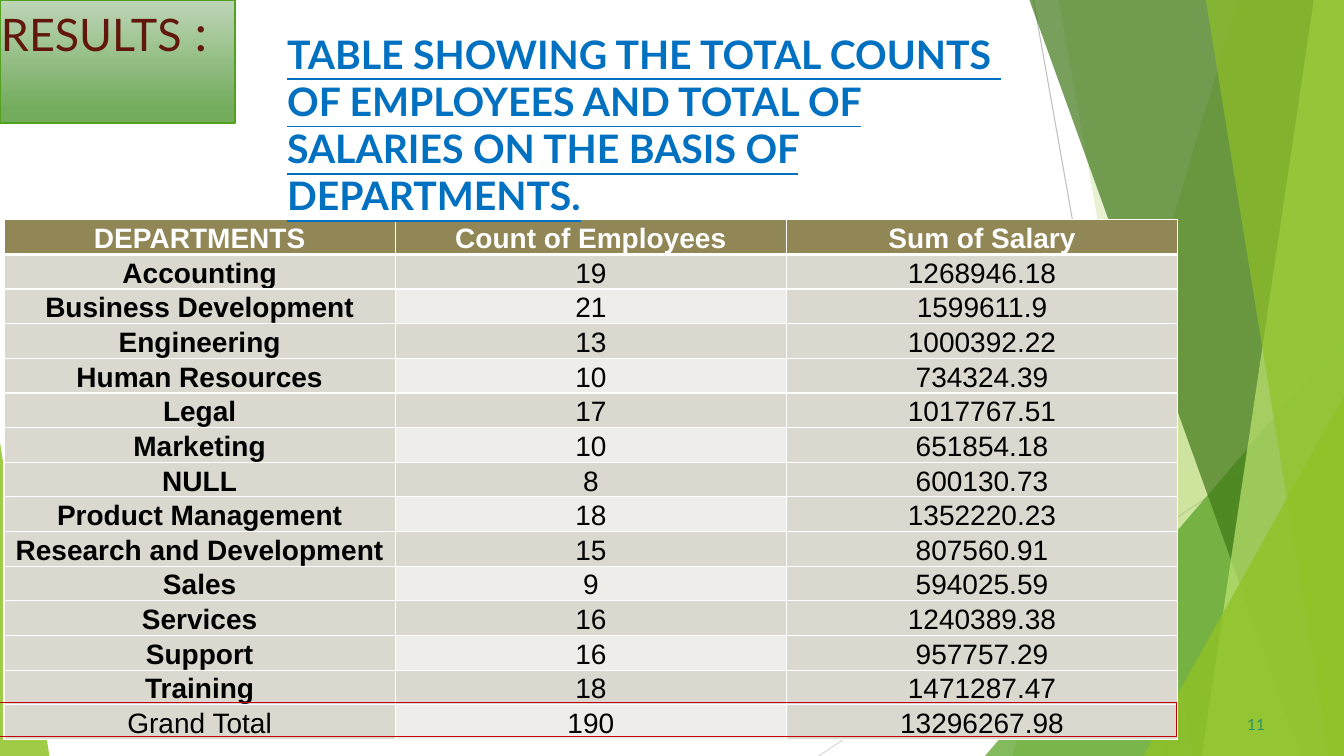
from lxml.etree import SubElement
from pptx import Presentation
from pptx.dml.color import RGBColor
from pptx.enum.shapes import MSO_CONNECTOR, MSO_SHAPE as SHAPE
from pptx.enum.text import MSO_ANCHOR, PP_ALIGN
from pptx.oxml.ns import qn
from pptx.util import Inches, Pt

COLORS = {
    "white": "FFFFFF", "black": "000000", "lime": "90C226", "green": "54A021",
    "forest": "3F7818", "pale": "BFE471", "gray": "BFBFBF", "silver": "D8D8D8",
    "grad_top": "BDD5B6", "grad_end": "74AC5E", "maroon": "62170C",
    "teal": "2D936B", "blue": "0070C0", "red": "C00000",
    "header": "918655", "band": "DBD8D0", "light": "EEEDE9",
}
HEADER = ("DEPARTMENTS", "Count of Employees", "Sum of Salary")
DEPARTMENTS = [
    ("Accounting", "19", "1268946.18"),
    ("Business Development", "21", "1599611.9"),
    ("Engineering", "13", "1000392.22"),
    ("Human Resources", "10", "734324.39"),
    ("Legal", "17", "1017767.51"),
    ("Marketing", "10", "651854.18"),
    ("NULL", "8", "600130.73"),
    ("Product Management", "18", "1352220.23"),
    ("Research and Development", "15", "807560.91"),
    ("Sales", "9", "594025.59"),
    ("Services", "16", "1240389.38"),
    ("Support", "16", "957757.29"),
    ("Training", "18", "1471287.47"),
    ("Grand Total", "190", "13296267.98"),
]
WIDTH, HEIGHT = 13.33, 7.5


def rgb(name):
    """Return the palette colour with this name."""
    return RGBColor.from_string(COLORS[name])


def paint(sp, color, alpha):
    """Give a shape a translucent fill and no outline."""
    sp.shadow.inherit = False
    sp.line.fill.background()
    sp.fill.solid()
    sp.fill.fore_color.rgb = rgb(color)
    clr = sp.fill._xPr.find(qn("a:solidFill"))[0]
    SubElement(clr, qn("a:alpha"), val=str(alpha * 1000))


def add_line(s, start, end, color):
    """Draw a thin line between two points."""
    ends = [Inches(v) for v in (*start, *end)]
    ln = s.shapes.add_connector(MSO_CONNECTOR.STRAIGHT, *ends)
    ln.line.color.rgb = rgb(color)
    ln.line.width = Pt(0.75)
    SubElement(ln._element.spPr, qn("a:effectLst"))


def add_shard(s, top, bottom, color, alpha):
    """Draw a full-height facet reaching the right edge."""
    points = [(WIDTH, 0), (WIDTH, HEIGHT), (bottom, HEIGHT)]
    fb = s.shapes.build_freeform(Inches(top), 0)
    fb.add_line_segments([(Inches(x), Inches(y)) for x, y in points])
    paint(fb.convert_to_shape(), color, alpha)


def add_triangle(s, left, top, width, apex, color, alpha):
    """Draw a triangle standing on the bottom edge."""
    sp = s.shapes.add_shape(SHAPE.ISOSCELES_TRIANGLE, Inches(left), Inches(top),
                            Inches(width), Inches(HEIGHT - top))
    sp.adjustments[0] = apex
    paint(sp, color, alpha)


def add_frame(s, left, top, width, height, color, weight):
    """Draw an outlined, unfilled rectangle."""
    sp = s.shapes.add_shape(SHAPE.RECTANGLE, Inches(left), Inches(top),
                            Inches(width), Inches(height))
    sp.shadow.inherit = False
    sp.fill.background()
    sp.line.color.rgb = rgb(color)
    sp.line.width = Pt(weight)
    return sp


def add_run(p, text, size, color, font="Lato", bold=False, underline=False):
    """Append a formatted run to a paragraph."""
    r = p.add_run()
    r.text = text
    r.font.name, r.font.size = font, Pt(size)
    r.font.bold, r.font.underline = bold, underline
    r.font.color.rgb = rgb(color)


def set_insets(box, left, top, right, bottom):
    """Set the inner margins of a text frame or a cell."""
    box.margin_left, box.margin_top = Inches(left), Inches(top)
    box.margin_right, box.margin_bottom = Inches(right), Inches(bottom)


def add_text(s, left, top, width, height, insets):
    """Add a wrapping text box and return its first paragraph."""
    tf = s.shapes.add_textbox(Inches(left), Inches(top),
                              Inches(width), Inches(height)).text_frame
    tf.word_wrap = True
    set_insets(tf, *insets)
    return tf.paragraphs[0]


def add_heading(s):
    """Add the gradient heading box."""
    sp = add_frame(s, 0, 0, 2.33, 1.22, "green", 1)
    sp.fill.gradient()
    sp.fill.gradient_angle = 270
    first, last = sp.fill.gradient_stops
    first.color.rgb, last.color.rgb = rgb("grad_top"), rgb("grad_end")
    first.position, last.position = 0, 0.88
    tf = sp.text_frame
    tf.vertical_anchor = MSO_ANCHOR.TOP
    set_insets(tf, 0.01, 0.01, 0, 0)
    p = tf.paragraphs[0]
    p.alignment = PP_ALIGN.LEFT
    add_run(p, "RESULTS", 32, "maroon")
    add_run(p, " :", 36, "maroon")


def set_borders(cell, bottom):
    """Draw white borders around a cell."""
    tcPr = cell._tc.get_or_add_tcPr()
    for i, (side, weight) in enumerate(zip("LRTB", (1, 1, 1, bottom))):
        ln = tcPr.makeelement(qn(f"a:ln{side}"), w=str(Pt(weight)))
        fill = SubElement(ln, qn("a:solidFill"))
        SubElement(fill, qn("a:srgbClr"), val=COLORS["white"])
        tcPr.insert(i, ln)


def add_salary_table(s):
    """Add the table of employees and salaries by department."""
    rows = [HEADER, *DEPARTMENTS]
    col_w, row_h, last = 3.88, 0.34, len(rows) - 1
    tbl = s.shapes.add_table(len(rows), 3, Inches(0.04), Inches(2.18),
                             Inches(3 * col_w), Inches(len(rows) * row_h)).table
    for i, row in enumerate(rows):
        tbl.rows[i].height = Inches(row_h)
        for j, text in enumerate(row):
            cell = tbl.cell(i, j)
            fill = "light" if j == 1 and i % 2 == 0 else "band"
            cell.fill.solid()
            cell.fill.fore_color.rgb = rgb("header" if i == 0 else fill)
            set_borders(cell, 3 if i == 0 else 1)
            set_insets(cell, 0.01, 0.01, 0.01, 0)
            cell.vertical_anchor = MSO_ANCHOR.BOTTOM
            p = cell.text_frame.paragraphs[0]
            p.alignment = PP_ALIGN.CENTER
            add_run(p, text, 20, "black" if i else "white", "Arial",
                    bold=i == 0 or (j == 0 and i < last))


def add_backdrop(s):
    """Draw the green facets and thin lines behind the content."""
    add_line(s, (10.25, 0), (11.58, HEIGHT), "gray")
    add_line(s, (WIDTH, 4.03), (8.12, HEIGHT), "silver")
    add_shard(s, 12.28, 10.04, "lime", 30)
    add_shard(s, 10.5, 11.83, "lime", 20)
    add_triangle(s, 9.77, 3.33, 3.56, 1, "green", 72)
    add_shard(s, 10.21, 12.91, "forest", 70)
    add_shard(s, 13.03, 11.92, "pale", 70)
    add_shard(s, 11.96, 13.18, "lime", 65)
    add_triangle(s, 11.34, 3.93, 1.99, 1, "lime", 80)
    add_triangle(s, 0, 4.39, 0.49, 0, "lime", 85)


def main():
    """Build the slide and save it."""
    prs = Presentation()
    prs.slide_width, prs.slide_height = Inches(WIDTH), Inches(HEIGHT)
    s = prs.slides.add_slide(prs.slide_layouts[6])
    add_backdrop(s)
    add_heading(s)
    p = add_text(s, 12.33, 7.08, 0.25, 0.21, (0.04, 0.01, 0, 0))
    add_run(p, "11", 11, "teal")
    add_salary_table(s)
    p = add_text(s, 2.75, 0.25, 7.37, 1.99, (0.1, 0.05, 0.1, 0.05))
    add_run(p, "TABLE SHOWING THE TOTAL COUNTS  OF EMPLOYEES AND TOTAL OF SALARIES "
            "ON THE BASIS OF DEPARTMENTS.", 28, "blue", bold=True, underline=True)
    add_frame(s, 0, 6.97, 11.67, 0.34, "red", 0.75)
    prs.save("out.pptx")


if __name__ == "__main__":
    main()
